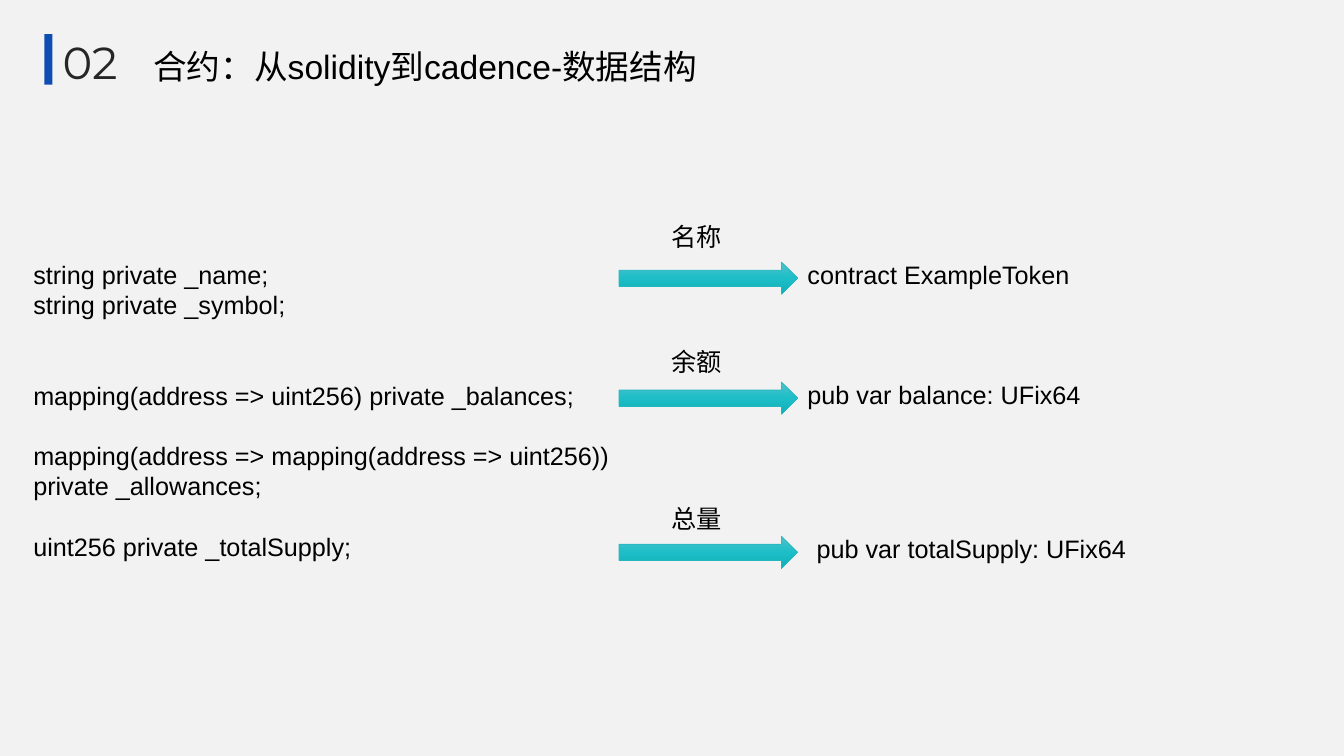
"""Build a slide that maps Solidity contract fields to their Cadence counterparts."""
import copy

import pptx
import pptx.chart.data
import pptx.dml.color
import pptx.enum.shapes
import pptx.enum.text
import pptx.oxml
import pptx.oxml.ns
import pptx.util

RGBColor = pptx.dml.color.RGBColor
Inches = pptx.util.Inches
Pt = pptx.util.Pt

NUMBER = "02"
HEADING = "合约：从solidity到cadence-数据结构"
FIELDS = [
    ("string private _name;", 0),
    ("string private _symbol;", 0),
    ("mapping(address => uint256) private _balances;", 2),
    ("mapping(address => mapping(address => uint256))", 1),
    ("private _allowances;", 0),
    ("uint256 private _totalSupply;", 1),
]
MAPPINGS = [
    {"label": "名称", "target": "contract ExampleToken", "label_top": 2.15, "top": 2.52, "indent": 0},
    {"label": "余额", "target": "pub var balance: UFix64", "label_top": 3.39, "top": 3.71, "indent": 0},
    {"label": "总量", "target": "pub var totalSupply: UFix64", "label_top": 4.94, "top": 5.24, "indent": 0.09},
]

FIELD_COLUMN, ARROW_COLUMN, LABEL_COLUMN, TARGET_COLUMN = 0.23, 6.14, 6.56, 7.91
ROW_HEIGHT, ARROW_HEIGHT, ARROW_DROP = 0.4, 0.32, 0.08
LINE_PITCH = 21.6
HEADING_TAB = 0.9

BACKGROUND = RGBColor(0xF2, 0xF2, 0xF2)
ACCENT = RGBColor(0x0E, 0x4E, 0xB2)
NUMBER_GREY = RGBColor(0x26, 0x26, 0x26)
BLACK = RGBColor(0, 0, 0)
ARROW_LINE = RGBColor(0x25, 0xB7, 0xC0)
ARROW_STOPS = [
    (0, RGBColor(0x50, 0xC2, 0xCA)),
    (0.5, RGBColor(0x1D, 0xBE, 0xC8)),
    (1, RGBColor(0x13, 0xAF, 0xB8)),
]


def place(shape, left, top, width, height):
    """Move and size a shape, in inches."""
    shape.left, shape.top = Inches(left), Inches(top)
    shape.width, shape.height = Inches(width), Inches(height)


def style(font, size, color=BLACK, name="Arial"):
    """Set the face, size and colour of a font."""
    font.name, font.size, font.color.rgb = name, Pt(size), color


def prepare_frame(shape, wrap=True):
    """Anchor the text of a shape at the top without resizing it."""
    frame = shape.text_frame
    frame.word_wrap = wrap
    frame.auto_size = pptx.enum.text.MSO_AUTO_SIZE.NONE
    frame.vertical_anchor = pptx.enum.text.MSO_ANCHOR.TOP
    return frame


def add_text(slide, text, left, top, width, wrap=True):
    """Add a one-line text box."""
    box = slide.shapes.add_textbox(Inches(left), Inches(top), Inches(width), Inches(ROW_HEIGHT))
    frame = prepare_frame(box, wrap)
    frame.text = text
    style(frame.paragraphs[0].runs[0].font, 18)


def add_shape(slide, kind, left, top, width, height):
    """Add a preset shape without a shadow."""
    shape = slide.shapes.add_shape(kind, Inches(left), Inches(top), Inches(width), Inches(height))
    shape.shadow.inherit = False
    return shape


def add_arrow(slide, top):
    """Add an arrow with a vertical three-stop gradient."""
    width = TARGET_COLUMN - ARROW_COLUMN
    kind = pptx.enum.shapes.MSO_SHAPE.RIGHT_ARROW
    arrow = add_shape(slide, kind, ARROW_COLUMN, top, width, ARROW_HEIGHT)
    arrow.fill.gradient()
    arrow.fill.gradient_angle = 270
    stop_list = arrow._element.spPr.find(".//" + pptx.oxml.ns.qn("a:gsLst"))
    stop_list.append(copy.deepcopy(stop_list[-1]))
    for stop, (position, color) in zip(arrow.fill.gradient_stops, ARROW_STOPS):
        stop.position = position
        stop.color.rgb = color
    arrow.line.color.rgb = ARROW_LINE
    arrow.line.width = Pt(0.5)


def fill_heading(title):
    """Write the numbered heading in the title placeholder."""
    place(title, 0.52, 0.29, 10.75, 0.64)
    paragraph = prepare_frame(title).paragraphs[0]
    paragraph.alignment = pptx.enum.text.PP_ALIGN.LEFT
    properties = paragraph._p.get_or_add_pPr()
    tabs = properties.makeelement(pptx.oxml.ns.qn("a:tabLst"), {})
    tab = {"pos": str(Inches(HEADING_TAB)), "algn": "l"}
    tabs.append(tabs.makeelement(pptx.oxml.ns.qn("a:tab"), tab))
    properties.append(tabs)
    number, heading = paragraph.add_run(), paragraph.add_run()
    number.text, heading.text = NUMBER + "\t", HEADING
    style(number.font, 32, NUMBER_GREY, "Montserrat")
    style(heading.font, 24)


def fill_fields(body):
    """List the Solidity fields in the body placeholder."""
    place(body, FIELD_COLUMN, MAPPINGS[0]["top"], 6, 3.73)
    frame = prepare_frame(body)
    frame.text = "\n".join(text for text, gap in FIELDS)
    for paragraph, (text, gap) in zip(frame.paragraphs, FIELDS):
        properties = paragraph._p.get_or_add_pPr()
        properties.set("marL", "0")
        properties.set("indent", "0")
        properties.append(properties.makeelement(pptx.oxml.ns.qn("a:buNone"), {}))
        paragraph.line_spacing = Pt(LINE_PITCH)
        paragraph.space_before = Pt(gap * LINE_PITCH)
        style(paragraph.runs[0].font, 18)


def main():
    """Assemble and save the slide."""
    presentation = pptx.Presentation()
    presentation.slide_width, presentation.slide_height = Inches(13.33), Inches(7.5)
    slide = presentation.slides.add_slide(presentation.slide_layouts[1])
    slide.background.fill.solid()
    slide.background.fill.fore_color.rgb = BACKGROUND

    bar = add_shape(slide, pptx.enum.shapes.MSO_SHAPE.RECTANGLE, 0.44, 0.34, 0.08, 0.5)
    bar.fill.solid()
    bar.fill.fore_color.rgb = ACCENT
    bar.line.fill.background()

    fill_heading(slide.shapes.title)
    fill_fields(slide.placeholders[1])
    for row in MAPPINGS:
        add_arrow(slide, row["top"] + ARROW_DROP)
        add_text(slide, row["label"], LABEL_COLUMN, row["label_top"], 0.7, wrap=False)
        add_text(slide, row["target"], TARGET_COLUMN + row["indent"], row["top"], 5.02)

    presentation.save("out.pptx")


if __name__ == "__main__":
    main()
